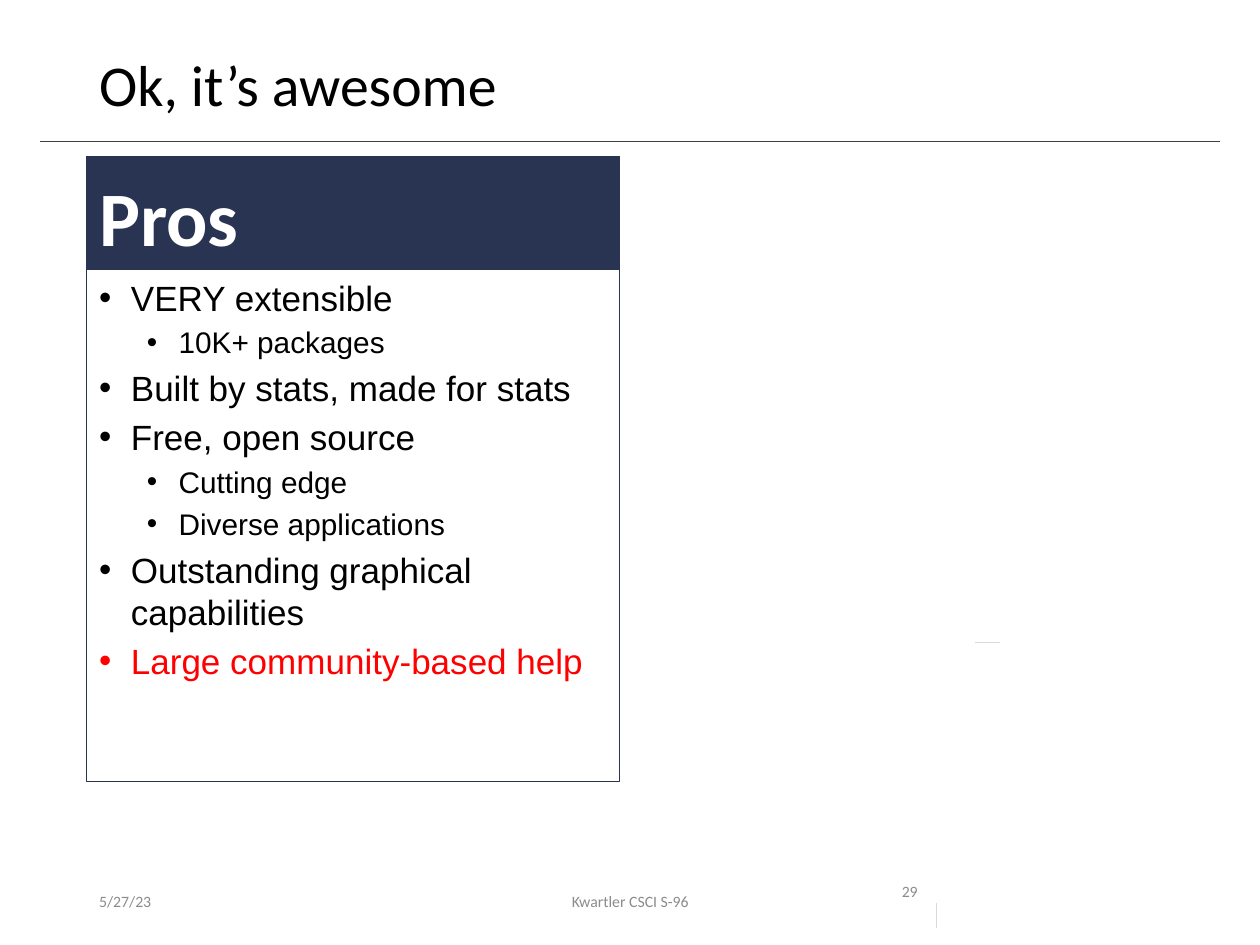
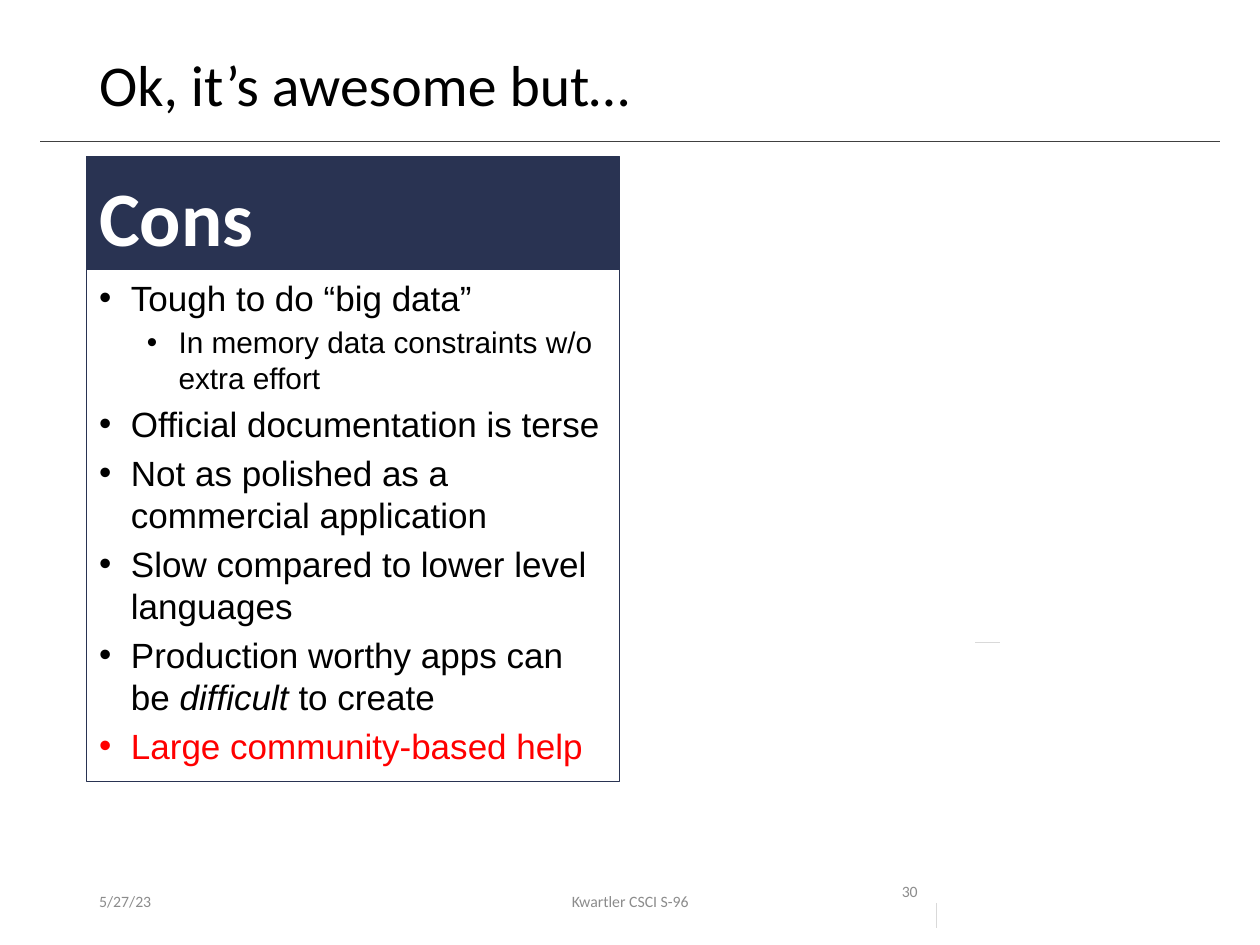
import pptx
import pptx.dml.color
import pptx.enum.shapes
import pptx.enum.text
import pptx.util
from lxml import etree
from pptx.oxml.ns import qn

Cm, Pt = pptx.util.Cm, pptx.util.Pt
Anchor = pptx.enum.text.MSO_ANCHOR
Align = pptx.enum.text.PP_ALIGN

NAVY, CHARCOAL, RED = "293352", "404040", "FF0000"
BLACK, WHITE, GREY, PALE = "000000", "FFFFFF", "8C8C8C", "D9D9D9"

# Each point: level, list of (text, italic), colour
SHARED_POINT = (0, [("Large community-based help", False)], RED)


def point(level, text):
    return level, [(text, False)], BLACK


SLIDES = [
    {
        "number": "29",
        "title": "Ok, it’s awesome",
        "heading": "Pros",
        "points": [
            point(0, "VERY extensible"),
            point(1, "10K+ packages"),
            point(0, "Built by stats, made for stats"),
            point(0, "Free, open source"),
            point(1, "Cutting edge"),
            point(1, "Diverse applications"),
            point(0, "Outstanding graphical capabilities"),
            SHARED_POINT,
        ],
    },
    {
        "number": "30",
        "title": "Ok, it’s awesome but…",
        "heading": "Cons",
        "points": [
            point(0, "Tough to do “big data”"),
            point(1, "In memory data constraints w/o extra effort"),
            point(0, "Official documentation is terse"),
            point(0, "Not as polished as a commercial application"),
            point(0, "Slow compared to lower level languages"),
            (0, [("Production worthy apps can be ", False), ("difficult", True),
                 (" to create", False)], BLACK),
            SHARED_POINT,
        ],
    },
]
DATE, COURSE = "5/27/23", "Kwartler CSCI S-96"

# Lengths in centimetres
LEFT = 1.75
PANEL_TOP, PANEL_WIDTH = 3.15, 10.74
HEADING_HEIGHT, LIST_HEIGHT = 2.29, 10.31
FOOTER_TOP, FOOTER_HEIGHT = 17.65, 1.02
RULES = [  # left, top, right, bottom, colour
    (0.81, 2.85, 24.59, 2.85, CHARCOAL),
    (18.87, 18.2, 18.87, 18.7, PALE),
    (19.66, 12.95, 20.16, 12.95, PALE),
]
POINT_SIZES = [20, 17]
POINT_INDENTS = [0.64, 1.6]
HANGING = 0.64


def rgb(colour):
    return pptx.dml.color.RGBColor.from_string(colour)


def style(font, name, size, colour, bold=False):
    font.name, font.size, font.bold = name, Pt(size), bold
    font.color.rgb = rgb(colour)


def write(box, text, size, colour, anchor, align=Align.LEFT, spacing=1.0, bold=False):
    """Fill a box with one Calibri paragraph."""
    frame = box.text_frame
    frame.word_wrap = True
    frame.vertical_anchor = anchor
    frame.text = text
    para = frame.paragraphs[0]
    para.alignment, para.line_spacing = align, spacing
    style(para.runs[0].font, "Calibri", size, colour, bold)


def add_text(page, place, *args, **options):
    write(page.shapes.add_textbox(*map(Cm, place)), *args, **options)


def add_panel(page, top, height, fill=None):
    panel = page.shapes.add_shape(pptx.enum.shapes.MSO_SHAPE.RECTANGLE,
                                  Cm(LEFT), Cm(top), Cm(PANEL_WIDTH), Cm(height))
    panel.shadow.inherit = False
    panel.line.color.rgb = rgb(NAVY)
    panel.line.width = Pt(0.75)
    if fill:
        panel.fill.solid()
        panel.fill.fore_color.rgb = rgb(fill)
    else:
        panel.fill.background()
    return panel


def add_rule(page, left, top, right, bottom, colour):
    rule = page.shapes.add_connector(pptx.enum.shapes.MSO_CONNECTOR.STRAIGHT,
                                     Cm(left), Cm(top), Cm(right), Cm(bottom))
    rule.line.color.rgb = rgb(colour)
    rule.line.width = Pt(0.5)
    etree.SubElement(rule.element.spPr, qn("a:effectLst"))


def add_bullet(para, level):
    para.level = level
    props = para._p.get_or_add_pPr()
    props.set("marL", str(Cm(POINT_INDENTS[level])))
    props.set("indent", str(-Cm(HANGING)))
    etree.SubElement(props, qn("a:buFont"), typeface="Arial")
    etree.SubElement(props, qn("a:buChar"), char="•")


def write_points(panel, points):
    frame = panel.text_frame
    frame.word_wrap = True
    frame.vertical_anchor = Anchor.TOP
    for index, (level, pieces, colour) in enumerate(points):
        para = frame.add_paragraph() if index else frame.paragraphs[0]
        size = POINT_SIZES[level]
        add_bullet(para, level)
        para.alignment, para.line_spacing = Align.LEFT, 1.0
        para.space_before = Pt(0.2 * size if index else 0)
        for text, italic in pieces:
            span = para.add_run()
            span.text = text
            style(span.font, "Arial", size, colour)
            span.font.italic = italic


def add_footer(page, number):
    parts = [  # text, left, width, anchor, alignment
        (DATE, LEFT, 5.72, Anchor.MIDDLE, Align.LEFT),
        (COURSE, 8.41, 8.59, Anchor.MIDDLE, Align.CENTER),
        (number, 17.93, 2.39, Anchor.TOP, Align.LEFT),
    ]
    for text, left, width, anchor, align in parts:
        add_text(page, (left, FOOTER_TOP, width, FOOTER_HEIGHT), text, 9, GREY,
                 anchor, align)


def build_page(deck, content):
    page = deck.slides.add_slide(deck.slide_layouts[6])
    heading = add_panel(page, PANEL_TOP, HEADING_HEIGHT, NAVY)
    write(heading, content["heading"], 44, WHITE, Anchor.BOTTOM, spacing=0.9, bold=True)
    write_points(add_panel(page, PANEL_TOP + HEADING_HEIGHT, LIST_HEIGHT), content["points"])
    add_text(page, (LEFT, 1.02, 21.89, 1.65), content["title"], 33, BLACK,
             Anchor.TOP, spacing=0.9)
    add_footer(page, content["number"])
    for rule in RULES:
        add_rule(page, *rule)


def main():
    deck = pptx.Presentation()
    deck.slide_width, deck.slide_height = Cm(25.4), Cm(19.05)
    for content in SLIDES:
        build_page(deck, content)
    deck.save("out.pptx")


if __name__ == "__main__":
    main()
